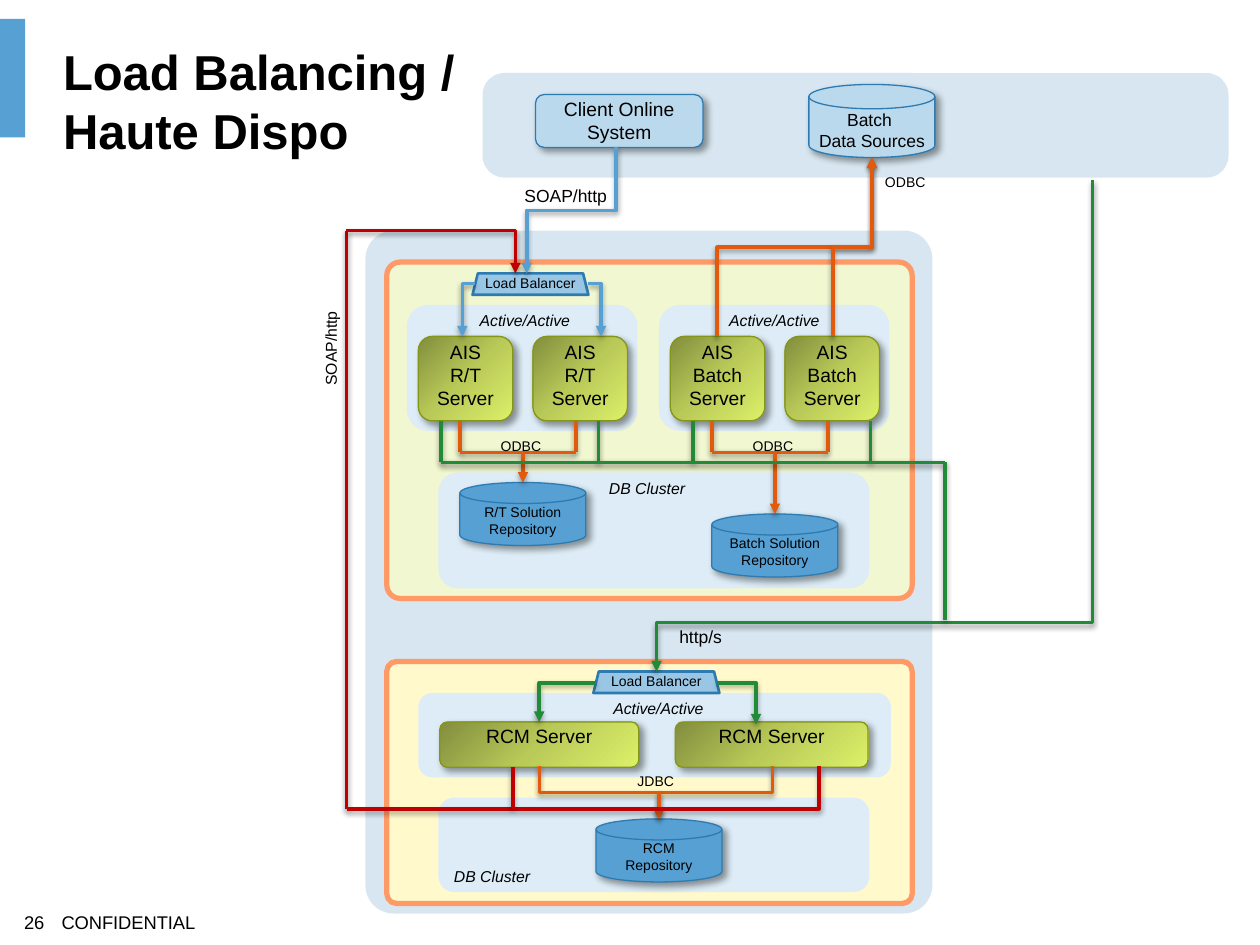
from copy import deepcopy
from dataclasses import dataclass

from lxml.etree import SubElement
from pptx import Presentation
from pptx.dml.color import RGBColor
from pptx.enum.shapes import MSO_CONNECTOR, MSO_SHAPE
from pptx.enum.text import MSO_ANCHOR, MSO_AUTO_SIZE, PP_ALIGN
from pptx.oxml.ns import qn
from pptx.util import Inches, Pt


@dataclass(frozen=True)
class Theme:
    font: str = "Arial"
    ink: str = "000000"
    blue: str = "56A0D3"
    edge: str = "2E7BB1"
    pale: str = "BBD9ED"
    scale: str = "9AC6E5"
    group: str = "DDECF6"
    lime: str = "F1F7D0"
    cream: str = "FFF9CC"
    frame: str = "FF9966"
    olive: str = "849619"
    blend: tuple = ((0, "828E3E"), (0.5, "BACA58"), (1, "DCF069"))
    orange: str = "E15A0E"
    red: str = "C00000"
    green: str = "218B38"
    title: float = 28
    large: float = 11
    foot: float = 10.5
    mid: float = 10
    note: float = 9
    small: float = 8


T = Theme()
ROUND, DISK = MSO_SHAPE.ROUNDED_RECTANGLE, MSO_SHAPE.FLOWCHART_MAGNETIC_DISK


def rgb(code):
    return RGBColor.from_string(code)


def write(frame, text, size, align=PP_ALIGN.CENTER, bold=False, slant=False):
    """Put each line of text in its own paragraph."""
    for i, line in enumerate(text.split("\n")):
        par = frame.paragraphs[0] if i == 0 else frame.add_paragraph()
        par.alignment = align
        run = par.add_run()
        run.text = line
        font = run.font
        font.name, font.size = T.font, Pt(size)
        font.bold, font.italic = bold, slant
        font.color.rgb = rgb(T.ink)


def shade(props, alpha, blur, dist, angle):
    """Give a shape or line a soft black shadow."""
    old = props.find(qn("a:effectLst"))
    list_ = SubElement(props, qn("a:effectLst")) if old is None else old
    drop = SubElement(list_, qn("a:outerShdw"), blurRad=str(Pt(blur)),
                      dist=str(Pt(dist)), dir=str(angle * 60000), rotWithShape="0")
    tint = SubElement(drop, qn("a:srgbClr"), val=T.ink)
    SubElement(tint, qn("a:alpha"), val=str(alpha * 1000))


def shape(slide, box, fill, kind=ROUND, edge=None, width=0.75, adj=None, alpha=None):
    item = slide.shapes.add_shape(kind, *map(Inches, box))
    item.shadow.inherit = False
    if adj is not None:
        item.adjustments[0] = adj
    item.fill.solid()
    item.fill.fore_color.rgb = rgb(fill)
    if alpha:
        tint = item._element.spPr.find(".//" + qn("a:srgbClr"))
        SubElement(tint, qn("a:alpha"), val=str(alpha * 1000))
    if edge:
        item.line.color.rgb, item.line.width = rgb(edge), Pt(width)
    else:
        item.line.fill.background()
    return item


def node(slide, box, text, size, fill, kind=ROUND, edge=T.edge, width=0.75, drop=True):
    item = shape(slide, box, fill, kind, edge, width)
    if drop:
        shade(item._element.spPr, 40, 4, 3, 45)
    frame = item.text_frame
    frame.margin_left = frame.margin_right = frame.margin_top = frame.margin_bottom = 0
    frame.vertical_anchor = MSO_ANCHOR.TOP
    write(frame, text, size)
    return item


def server(slide, box, text):
    item = node(slide, box, text, T.large, T.lime, edge=T.olive)
    item.fill.gradient()
    item.fill.gradient_angle = 315
    stops = item._element.spPr.find(".//" + qn("a:gsLst"))
    stops.insert(1, deepcopy(stops[0]))
    for stop, (place, code) in zip(item.fill.gradient_stops, T.blend):
        stop.position, stop.color.rgb = place, rgb(code)


def label(slide, box, text, size, turn=0, **form):
    item = slide.shapes.add_textbox(*map(Inches, box))
    item.rotation = turn
    item.text_frame.word_wrap = False
    write(item.text_frame, text, size, **form)
    return item


def wire(slide, start, end, color, arrow=False, kind=MSO_CONNECTOR.STRAIGHT):
    line = slide.shapes.add_connector(kind, *map(Inches, (*start, *end)))
    line.line.color.rgb, line.line.width = rgb(color), Pt(2)
    if arrow:
        SubElement(line.line._get_or_add_ln(), qn("a:tailEnd"), type="triangle")
    shade(line._element.spPr, 38, 3.1, 1.6, 90)
    return line


def corner(slide, start, end, color, arrow=True):
    """Run across, then up or down."""
    line = wire(slide, start, end, color, arrow, MSO_CONNECTOR.ELBOW)
    line._element.spPr.find(qn("a:prstGeom")).set("prst", "bentConnector2")


def step(slide, start, end, color, turn=0.5):
    """Run up or down, across at the given share of the height, then on."""
    (x, y), (u, v) = start, end
    mid_x, mid_y, dx, dy = (x + u) / 2, (y + v) / 2, (u - x) / 2, (v - y) / 2
    line = wire(slide, (mid_x - dy, mid_y + dx), (mid_x + dy, mid_y - dx),
                color, True, MSO_CONNECTOR.ELBOW)
    props = line._element.spPr
    props.find(qn("a:xfrm")).set("rot", "5400000")
    SubElement(props.find(".//" + qn("a:avLst")), qn("a:gd"), name="adj1",
               fmla=f"val {round(turn * 100000)}")


def main():
    deck = Presentation()
    deck.slide_width, deck.slide_height = Inches(10), Inches(7.5)
    slide = deck.slides.add_slide(deck.slide_layouts[5])

    # Title, side bar and footer
    head = slide.shapes.title
    head.left, head.top, head.width, head.height = map(Inches, (0.4, 0.28, 9.26, 0.64))
    head.text_frame.vertical_anchor = MSO_ANCHOR.TOP
    head.text_frame.auto_size = MSO_AUTO_SIZE.NONE
    write(head.text_frame, "Load Balancing /\nHaute Dispo", T.title, PP_ALIGN.LEFT, bold=True)
    shape(slide, (0, 0.15, 0.2, 0.94), T.blue, MSO_SHAPE.RECTANGLE)
    page = label(slide, (0, 7.12, 0.45, 0.4), "26", T.foot, align=PP_ALIGN.RIGHT)
    page.text_frame.word_wrap = True
    page.text_frame.vertical_anchor = MSO_ANCHOR.MIDDLE
    label(slide, (0.39, 7.18, 1.77, 0.28), "CONFIDENTIAL", T.foot, align=PP_ALIGN.LEFT)

    # Zones and groups
    shape(slide, (3.83, 0.58, 5.92, 0.83), T.edge, adj=0.21, alpha=19)
    shape(slide, (2.9, 1.83, 4.5, 5.42), T.edge, adj=0.05, alpha=19)
    for top, high, fill in ((2.08, 2.67, T.lime), (5.25, 1.92, T.cream)):
        shape(slide, (3.07, top, 4.17, high), fill, edge=T.frame, width=3, adj=0.04)
    for box in ((3.23, 2.42, 1.83, 1), (5.23, 2.42, 1.83, 1), (3.48, 3.75, 3.42, 0.92),
                (3.32, 5.5, 3.75, 0.67), (3.48, 6.33, 3.42, 0.75)):
        shape(slide, box, T.group)

    # Clients, servers, stores and balancers
    node(slide, (4.25, 0.75, 1.33, 0.42), "Client Online System", T.large, T.pale)
    node(slide, (6.42, 0.67, 1, 0.58), "Batch \nData Sources", T.mid, T.pale, DISK)
    for left, role in ((3.32, "R/T"), (5.32, "Batch")):
        for x in (left, left + 0.91):
            server(slide, (x, 2.67, 0.75, 0.67), f"AIS\n{role}\nServer")
    for left, wide in ((3.49, 1.58), (5.36, 1.53)):
        server(slide, (left, 5.73, wide, 0.36), "RCM Server")
    for left, top, name in ((3.65, 3.83, "R/T Solution"), (5.65, 4.08, "Batch Solution"),
                            (4.73, 6.5, "RCM")):
        node(slide, (left, top, 1, 0.5), name + "\nRepository", T.small, T.blue, DISK)
    for left, top, wide in ((3.75, 2.17, 0.92), (4.71, 5.33, 1)):
        node(slide, (left, top, wide, 0.17), "Load Balancer", T.small, T.scale,
             MSO_SHAPE.TRAPEZOID, width=1.5, drop=False)

    # Database links
    for x, low in ((3.65, 3.83), (5.65, 4.08)):
        for leg in (x, x + 0.92):
            wire(slide, (leg, 3.34), (leg, 3.59), T.orange)
        wire(slide, (x, 3.59), (x + 0.92, 3.59), T.orange)
        wire(slide, (x + 0.5, 3.59), (x + 0.5, low), T.orange, True)
    for x in (6.13, 4.28):
        step(slide, (x, 6.08), (5.23, 6.5), T.orange)
    for x in (5.69, 6.61):
        step(slide, (x, 2.67), (6.92, 1.25), T.orange)

    # Online calls
    for x, end in ((4.67, 4.77), (3.77, 3.67)):
        corner(slide, (x, 2.25), (end, 2.67), T.blue)
    step(slide, (4.89, 1.17), (4.18, 2.17), T.blue)

    # Return loop
    wire(slide, (2.75, 6.42), (2.75, 1.83), T.red)
    corner(slide, (2.75, 6.42), (6.5, 6.08), T.red, arrow=False)
    wire(slide, (4.07, 6.42), (4.07, 6.09), T.red)
    corner(slide, (2.75, 1.83), (4.09, 2.17), T.red)

    # Calls to the RCM servers
    corner(slide, (4.73, 5.42), (4.28, 5.73), T.green)
    corner(slide, (5.69, 5.42), (6, 5.75), T.green)
    step(slide, (8.67, 1.43), (5.21, 5.33), T.green, turn=0.9)
    for x in (3.5, 4.75, 5.5, 6.91):
        wire(slide, (x, 3.34), (x, 3.67), T.green)
    wire(slide, (3.5, 3.67), (7.5, 3.67), T.green)
    wire(slide, (7.5, 3.67), (7.5, 4.92), T.green)

    # Labels
    for x, y in ((3.67, 2.42), (5.65, 2.42), (4.73, 5.5)):
        label(slide, (x, y, 0.99, 0.25), "Active/Active", T.note, slant=True)
    for x, y in ((4.71, 3.75), (3.48, 6.83)):
        label(slide, (x, y, 0.85, 0.25), "DB Cluster", T.note, slant=True)
    for x, y, text in ((3.87, 3.42, "ODBC"), (5.87, 3.42, "ODBC"), (6.92, 1.33, "ODBC"),
                       (4.94, 6.08, "JDBC")):
        label(slide, (x, y, 0.53, 0.24), text, T.small)
    label(slide, (4.06, 1.42, 0.86, 0.27), "SOAP/http", T.mid)
    label(slide, (2.21, 2.64, 0.83, 0.25), "SOAP/http", T.note, turn=270)
    label(slide, (5.29, 4.92, 0.54, 0.27), "http/s", T.mid)

    deck.save("out.pptx")


if __name__ == "__main__":
    main()
